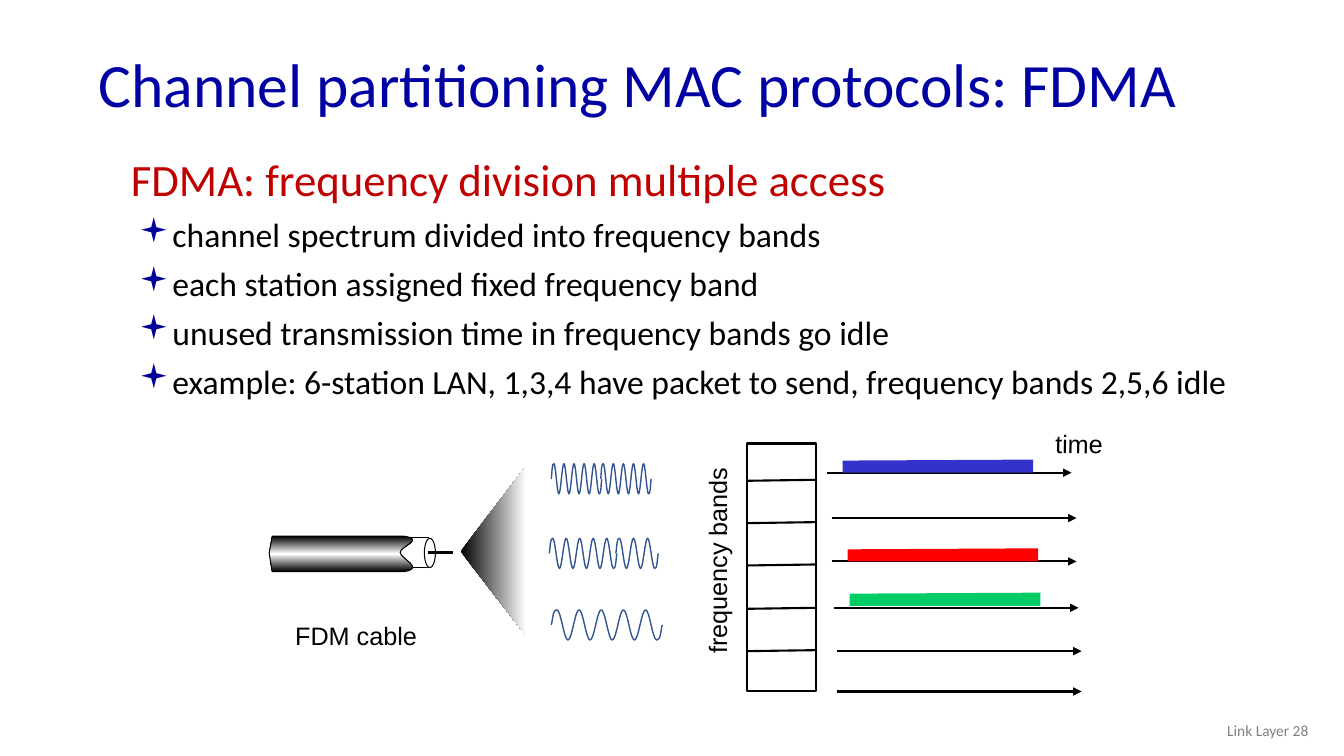
from dataclasses import dataclass, field
from typing import Any

from lxml import etree
from pptx import Presentation
from pptx.dml.color import RGBColor
from pptx.enum.shapes import MSO_CONNECTOR, MSO_SHAPE
from pptx.enum.text import MSO_ANCHOR, PP_ALIGN
from pptx.oxml.ns import qn
from pptx.util import Pt

PX = 9144
BLACK, WHITE, BLUE = "000000", "FFFFFF", "325491"
STRAIGHT = MSO_CONNECTOR.STRAIGHT
RECT, OVAL = MSO_SHAPE.RECTANGLE, MSO_SHAPE.OVAL
MIDDLE, RIGHT = MSO_ANCHOR.MIDDLE, PP_ALIGN.RIGHT
Point = tuple[float, float]


@dataclass
class Label:
    text: str
    box: tuple[int, int, int, int]
    size: int
    face: str = "Arial"
    color: str = BLACK
    turn: float = 0
    frame: dict[str, Any] = field(default_factory=dict)
    format: dict[str, Any] = field(default_factory=dict)


@dataclass
class Band:
    x: int
    y: int
    color: str = ""
    lift: int = 0


@dataclass
class Wave:
    left: int
    right: int
    mid: int
    peaks: int


LOOSE = {"word_wrap": False}
CENTRED = {"word_wrap": True, "vertical_anchor": MIDDLE}
TITLE = Label("Channel partitioning MAC protocols: FDMA", (88, 38, 1150, 98), 44,
              "Calibri", "0000A3", frame=CENTRED, format={"line_spacing": 0.9})
LABELS = (
    Label("frequency bands", (609, 536, 205, 40), 18, turn=270, frame=LOOSE),
    Label("time", (1037, 420, 67, 40), 18, turn=1.1, frame=LOOSE),
    Label("FDM cable", (283, 610, 141, 40), 18, frame=LOOSE),
    Label("Link Layer 28", (1008, 705, 300, 40), 11, "Calibri", "808080",
          frame=CENTRED, format={"alignment": RIGHT}),
)
HEADING = "FDMA: frequency division multiple access"
POINTS = (
    "channel spectrum divided into frequency bands",
    "each station assigned fixed frequency band",
    "unused transmission time in frequency bands go idle",
    "example: 6-station LAN, 1,3,4 have packet to send, frequency bands 2,5,6 idle",
)
BANDS = (
    Band(820, 469, "3333CC"),
    Band(825, 514),
    Band(825, 557, "FF0000"),
    Band(827, 603, "00CC66", 2),
    Band(830, 646),
    Band(830, 686),
)
SPLITS = (477, 519, 561, 604, 646)
WAVES = (
    Wave(547, 657, 620, 10),
    Wave(547, 597, 475, 10),
    Wave(596, 646, 475, 10),
    Wave(545, 612, 549, 10),
    Wave(611, 653, 549, 6),
)


def rgb(code: str) -> RGBColor:
    """Return the colour of a hex string."""
    return RGBColor.from_string(code)


def apply(target: Any, values: dict[str, Any]) -> None:
    """Set each format value on the target."""
    for name, value in values.items():
        setattr(target, name, value)


def child(parent: Any, tag: str, **values: str) -> Any:
    """Add an XML child with the given attributes."""
    return etree.SubElement(parent, qn(tag), values)


def write(para: Any, text: str, size: int, face: str, color: str) -> None:
    """Write one styled run."""
    run = para.add_run()
    run.text = text
    apply(run.font, {"size": Pt(size), "name": face})
    run.font.color.rgb = rgb(color)


def draw_label(shapes: Any, label: Label) -> None:
    """Draw a text label."""
    box = shapes.add_textbox(*(n * PX for n in label.box))
    box.rotation = label.turn
    apply(box.text_frame, label.frame)
    para = box.text_frame.paragraphs[0]
    apply(para, label.format)
    write(para, label.text, label.size, label.face, label.color)


def draw_body(shapes: Any) -> None:
    """Draw the heading and its bullet points."""
    frame = shapes.add_textbox(120 * PX, 154 * PX, 1144 * PX, 262 * PX).text_frame
    frame.word_wrap = True
    head = frame.paragraphs[0]
    head.line_spacing = 0.85
    write(head, HEADING, 32, "Calibri", "C00000")
    for text in POINTS:
        para = frame.add_paragraph()
        para.space_before = Pt(6)
        props = para._p.get_or_add_pPr()
        props.set("marL", str(38 * PX))
        props.set("indent", str(-30 * PX))
        child(child(props, "a:buClr"), "a:srgbClr", val="000099")
        child(props, "a:buFont", typeface="Wingdings", charset="2")
        child(props, "a:buChar", char="▪")
        write(para, text, 24, "Calibri", BLACK)


def draw_line(shapes: Any, start: Point, end: Point, width: float = 1.5,
              arrow: bool = False) -> None:
    """Draw a black line or arrow."""
    line = shapes.add_connector(STRAIGHT, *(round(n * PX) for n in (*start, *end)))
    line.line.width = Pt(width)
    line.line.color.rgb = rgb(BLACK)
    if arrow:
        child(line.line._get_or_add_ln(), "a:tailEnd", type="triangle")
    child(line._element.spPr, "a:effectLst")


def paint(shape: Any, fill: str = "", line: str = "", width: float = 0.75) -> None:
    """Set the fill and outline of a shape."""
    shape.shadow.inherit = False
    if fill:
        shape.fill.solid()
        shape.fill.fore_color.rgb = rgb(fill)
    else:
        shape.fill.background()
    if line:
        shape.line.color.rgb = rgb(line)
        shape.line.width = Pt(width)
    else:
        shape.line.fill.background()


def shade(shape: Any, stops: tuple[str, ...], angle: int) -> None:
    """Replace a solid fill by evenly spaced gradient stops."""
    solid = shape._element.spPr.find(qn("a:solidFill"))
    grad = etree.Element(qn("a:gradFill"), rotWithShape="1")
    items = child(grad, "a:gsLst")
    for i, code in enumerate(stops):
        stop = child(items, "a:gs", pos=str(i * 100000 // (len(stops) - 1)))
        child(stop, "a:srgbClr", val=code)
    child(grad, "a:lin", ang=str(angle * 60000), scaled="0")
    solid.getparent().replace(solid, grad)


def outline(shapes: Any, points: list[Point], close: bool = True,
            bends: tuple[int, ...] = ()) -> Any:
    """Build a freeform, with a cubic curve from each point listed in bends."""
    first, *rest = [(round(x * PX), round(y * PX)) for x, y in points]
    form = shapes.build_freeform(*first, scale=1.0)
    form.add_line_segments(rest, close=close)
    shape = form.convert_to_shape()
    lines = list(shape._element.spPr.iter(qn("a:lnTo")))
    for i in bends:
        bend = etree.Element(qn("a:cubicBezTo"))
        lines[i].addprevious(bend)
        for line in lines[i:i + 3]:
            bend.append(line[0])
            line.getparent().remove(line)
    return shape


def draw_wave(shapes: Any, wave: Wave) -> None:
    """Draw a wave with one curve between each peak and the next."""
    step = (wave.right - wave.left) / wave.peaks
    pull = step * 0.36
    points = [(wave.left, wave.mid), (wave.left + step / 6, wave.mid - 8)]
    for i in range(wave.peaks):
        x = wave.left + step * (i + 0.5)
        y = wave.mid + (15 if i % 2 else -15)
        points += [(x - pull, y), (x, y), (x + pull, y)]
    points += [(wave.right - step / 6, wave.mid + 8), (wave.right, wave.mid)]
    bends = tuple(range(0, len(points) - 1, 3))
    paint(outline(shapes, points, False, bends), line=BLUE, width=1)


def draw_bands(shapes: Any) -> None:
    """Draw the band column, time arrows and packets."""
    paint(shapes.add_shape(RECT, 741 * PX, 440 * PX, 69 * PX, 246 * PX),
          WHITE, BLACK, 1.5)
    for y in SPLITS:
        draw_line(shapes, (741, y), (809, y - 1))
    for band in BANDS:
        draw_line(shapes, (band.x, band.y), (band.x + 243, band.y), arrow=True)
        if band.color:
            x, y = band.x + 16, band.y - band.lift
            bar = [(x, y), (x, y - 12), (x + 189, y - 13), (x + 189, y)]
            paint(outline(shapes, bar), band.color)


def draw_cable(shapes: Any) -> None:
    """Draw the cable and its light cone."""
    cone = outline(shapes, [(522, 462), (457, 547), (522, 631)])
    paint(cone, BLACK)
    shade(cone, (BLACK, WHITE), 0)
    paint(shapes.add_shape(RECT, 396 * PX, 533 * PX, 29 * PX, 30 * PX), WHITE, BLACK)
    edge = [(270, 532), (267, 549), (270, 567), (401, 567), (422, 564), (397, 554),
            (397, 548), (397, 542), (422, 535), (401, 532)]
    sheath = outline(shapes, edge, bends=(3, 6))
    paint(sheath, BLACK, BLACK)
    shade(sheath, (BLACK, WHITE, BLACK), 90)
    paint(shapes.add_shape(OVAL, 421 * PX, 534 * PX, 11 * PX, 29 * PX), WHITE, BLACK)
    draw_line(shapes, (425, 548), (449, 548), 2.25)


def main() -> None:
    """Build and save the slide."""
    deck = Presentation()
    apply(deck, {"slide_width": Pt(960), "slide_height": Pt(540)})
    shapes = deck.slides.add_slide(deck.slide_layouts[6]).shapes
    draw_label(shapes, TITLE)
    draw_body(shapes)
    draw_bands(shapes)
    draw_cable(shapes)
    for wave in WAVES:
        draw_wave(shapes, wave)
    for label in LABELS:
        draw_label(shapes, label)
    deck.save("out.pptx")


if __name__ == "__main__":
    main()
